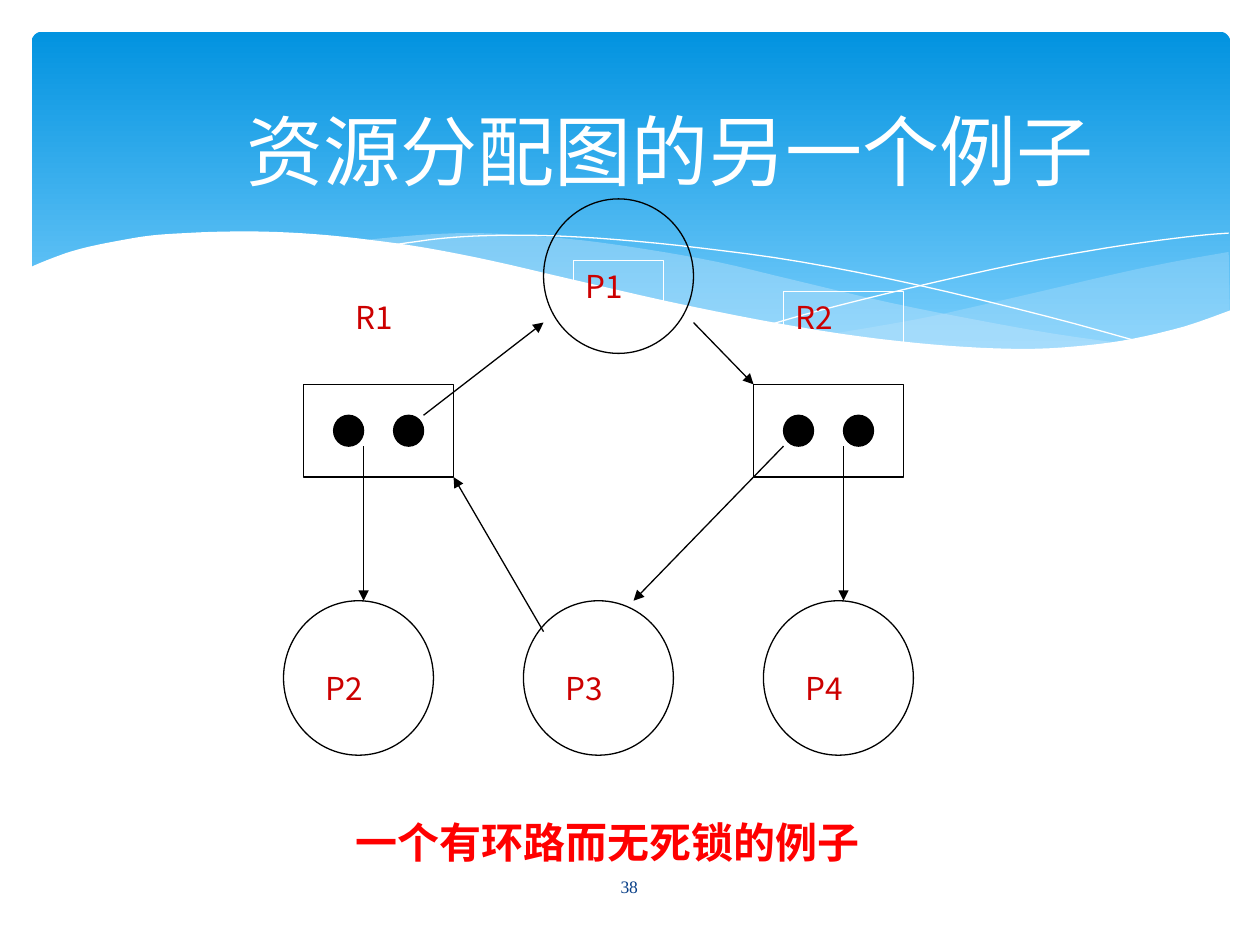
import pptx
import pptx.util
import pptx.dml.color
import pptx.enum.dml
import pptx.enum.shapes
import pptx.enum.text
import pptx.oxml.ns
import lxml.etree

Cm, Pt = pptx.util.Cm, pptx.util.Pt
SHAPE = pptx.enum.shapes.MSO_SHAPE
ANCHOR = pptx.enum.text.MSO_ANCHOR
ALIGN = pptx.enum.text.PP_ALIGN
COLORS = {"sky": "0293E0", "pale_sky": "83D3FE", "wave": "C6E7FC", "white": "FFFFFF",
          "ink": "000000", "label": "CC0000", "caption": "FF0000", "number": "073E87"}
CJK = "Noto Sans CJK JP"

# Content
TITLE = "资源分配图的另一个例子"
CAPTION = "一个有环路而无死锁的例子"
PAGE_NUMBER = "38"
# Diagram places are in grid cells, counted from the left of R1 and the top of P1
PROCESSES = [("P2", -0.67, 13), ("P3", 7.33, 13), ("P4", 15.33, 13), ("P1", 8, 0)]
RESOURCES = [("R1", 0, 1.33), ("R2", 15, 1)]  # name, column, label offset
ARROWS = [((4, 7), (8, 4)), ((8, 14), (5, 9)), ((2, 8), (2, 13)),
          ((13, 4), (15, 6)), ((16, 8), (11, 13)), ((18, 8), (18, 13))]
ORIGIN_X, ORIGIN_Y = 6.12, 4.01
CELL_W, CELL_H = 9.07 / 15, 8.1 / 13

# Wave edges in centimetres: (fill, opacity in percent, list of smooth edges)
WAVES = [
    ("wave", 29, [
        [(24.77, 5.08), (23.75, 5.26), (22.63, 5.49), (21.13, 5.84), (19.79, 6.15),
         (18.52, 6.43), (16.79, 6.73)],
        [(16.79, 6.73), (17.91, 6.88), (18.92, 6.99), (19.84, 7.04), (20.68, 7.06),
         (21.69, 7.03), (22.58, 6.93), (23.39, 6.73), (24.1, 6.53), (24.79, 6.27)]]),
    ("wave", 40, [
        [(22.68, 6.93), (21.26, 6.73), (19.69, 6.45), (17.93, 6.1), (15.98, 5.64),
         (14.46, 5.28), (13.06, 5.03), (11.79, 4.85), (10.67, 4.75), (9.65, 4.7),
         (8.74, 4.72), (7.95, 4.78), (7.26, 4.85)],
        [(7.26, 4.85), (8.69, 5.05), (10.26, 5.36), (11.4, 5.64), (13.46, 6.1),
         (15.27, 6.48), (16.89, 6.76), (18.34, 6.96), (19.63, 7.04), (20.78, 7.09),
         (21.77, 7.05), (22.68, 6.93)]]),
    (None, 100, [
        [(7.85, 4.95), (8.33, 4.88), (8.97, 4.8), (9.83, 4.75), (11, 4.75), (12.42, 4.83),
         (14.12, 5), (16.15, 5.28), (18.47, 5.74), (21.11, 6.38), (23.04, 6.91)]]),
    (None, 100, [
        [(15.57, 6.53), (16.56, 6.25), (18.29, 5.82), (20.47, 5.33), (22, 5.05),
         (23.11, 4.88), (24.16, 4.75), (24.77, 4.7)]]),
    ("white", 100, [
        [(24.82, 6.25), (23.88, 6.58), (22.83, 6.83), (21.92, 6.96), (20.9, 7.03),
         (19.76, 7.01), (18.44, 6.91), (16.97, 6.73), (15.32, 6.45), (13.44, 6.07),
         (11.35, 5.59), (9.93, 5.26), (8.61, 5), (7.42, 4.83), (6.35, 4.72), (5.36, 4.67),
         (4.47, 4.67), (3.71, 4.7), (3.02, 4.75), (2.41, 4.85), (1.9, 4.95), (1.5, 5.05),
         (1.17, 5.16), (0.74, 5.33), (0.58, 5.41)],
        [(0.58, 8.36), (24.82, 8.36)]]),
]


def rgb(name):
    return pptx.dml.color.RGBColor.from_string(COLORS[name])


def smooth(knots, steps=4):
    """Points of a Catmull-Rom curve through the knots."""
    if len(knots) < 3:
        return knots
    padded = [knots[0], *knots, knots[-1]]
    points = []
    for a, b, c, d in zip(padded, padded[1:], padded[2:], padded[3:]):
        for step in range(steps):
            t = step / steps
            points.append(tuple(
                q + t * (r - p) / 2 + t * t * (2 * p - 5 * q + 4 * r - s) / 2
                + t ** 3 * (3 * q - p - 3 * r + s) / 2
                for p, q, r, s in zip(a, b, c, d)))
    return points + [knots[-1]]


def style(shape, fill=None, line=None, width=0.75):
    shape.shadow.inherit = False
    if fill:
        shape.fill.solid()
        shape.fill.fore_color.rgb = rgb(fill)
    else:
        shape.fill.background()
    if line:
        shape.line.color.rgb = rgb(line)
        shape.line.width = Pt(width)
    else:
        shape.line.fill.background()


def write(box, text, size, color, font=CJK, bold=False, align=ALIGN.LEFT, anchor=ANCHOR.TOP):
    box.text_frame.vertical_anchor = anchor
    para = box.text_frame.paragraphs[0]
    para.alignment = align
    span = para.add_run()
    span.text = text
    span.font.size, span.font.bold, span.font.name = Pt(size), bold, font
    span.font.color.rgb = rgb(color)
    east_asian = lxml.etree.SubElement(span.font._element, pptx.oxml.ns.qn("a:ea"))
    east_asian.set("typeface", CJK)


def grid_point(column, row):
    return Cm(ORIGIN_X + column * CELL_W), Cm(ORIGIN_Y + row * CELL_H)


def add_cell_shape(group, kind, column, row, columns, rows, **look):
    shape = group.shapes.add_shape(kind, *grid_point(column, row),
                                   Cm(columns * CELL_W), Cm(rows * CELL_H))
    style(shape, **look)
    return shape


def add_label(group, text, column, row, columns):
    box = add_cell_shape(group, SHAPE.RECTANGLE, column, row, columns, 2, line="white")
    write(box, text, 18, "label")


def add_wave(group, fill, opacity, edges):
    points = [(Cm(x), Cm(y)) for edge in edges for x, y in smooth(edge)]
    builder = group.shapes.build_freeform(*points[0])
    builder.add_line_segments(points[1:], close=fill is not None)
    wave = builder.convert_to_shape()
    style(wave, fill=fill, line=None if fill else "white", width=0)
    if opacity < 100:
        color = wave.fill._xPr.find(".//" + pptx.oxml.ns.qn("a:srgbClr"))
        lxml.etree.SubElement(color, pptx.oxml.ns.qn("a:alpha")).set("val", str(opacity * 1000))


def add_arrow(group, start, end):
    arrow = group.shapes.add_connector(pptx.enum.shapes.MSO_CONNECTOR.STRAIGHT,
                                       *grid_point(*start), *grid_point(*end))
    arrow.line.color.rgb = rgb("ink")
    arrow.line.width = Pt(0.75)
    head = lxml.etree.SubElement(arrow.line._get_or_add_ln(), pptx.oxml.ns.qn("a:tailEnd"))
    head.set("type", "triangle")
    lxml.etree.SubElement(arrow._element.spPr, pptx.oxml.ns.qn("a:effectLst"))


def main():
    deck = pptx.Presentation()
    deck.slide_width, deck.slide_height = Cm(25.4), Cm(19.05)
    page = deck.slides.add_slide(deck.slide_layouts[5])

    # Sky banner and waves
    banner = page.shapes.add_shape(SHAPE.ROUNDED_RECTANGLE, Cm(0.64), Cm(0.64), Cm(24.16), Cm(6.86))
    banner.adjustments[0] = 0.03
    style(banner)
    banner.fill.gradient()
    banner.fill.gradient_angle = 270
    for stop, name in zip(banner.fill.gradient_stops, ("sky", "pale_sky")):
        stop.color.rgb = rgb(name)
    waves = page.shapes.add_group_shape()
    for wave in WAVES:
        add_wave(waves, *wave)

    # Title, brought in front of the banner
    title = page.shapes.title
    title.left, title.top, title.width, title.height = Cm(2.72), Cm(1.52), Cm(21.59), Cm(3)
    write(title, TITLE, 44, "white", font="Calibri", align=ALIGN.CENTER, anchor=ANCHOR.MIDDLE)
    title.element.getparent().append(title.element)

    # Resource allocation graph
    graph = page.shapes.add_group_shape()
    for name, column, row in PROCESSES:
        add_cell_shape(graph, SHAPE.OVAL, column, row, 5, 5, line="ink")
        add_label(graph, name, column + 1, row + 2, 3)
    for name, column, offset in RESOURCES:
        add_label(graph, name, column + offset, 3, 4)
        add_cell_shape(graph, SHAPE.RECTANGLE, column, 6, 5, 3, line="ink")
        for dot in (1, 3):
            add_cell_shape(graph, SHAPE.OVAL, column + dot, 7, 1, 1, fill="ink", line="ink")
    for start, end in ARROWS:
        add_arrow(graph, start, end)

    # Caption and page number
    caption = page.shapes.add_textbox(Cm(6.91), Cm(16.33), Cm(10.85), Cm(1.27))
    caption.text_frame.word_wrap = False
    write(caption, CAPTION, 24, "caption", bold=True, anchor=ANCHOR.MIDDLE)
    number = page.shapes.add_textbox(Cm(11.07), Cm(17.37), Cm(3.23), Cm(1.02))
    number.text_frame.word_wrap = True
    write(number, PAGE_NUMBER, 10, "number", font="Times New Roman",
          align=ALIGN.CENTER, anchor=ANCHOR.MIDDLE)

    deck.save("out.pptx")


if __name__ == "__main__":
    main()
